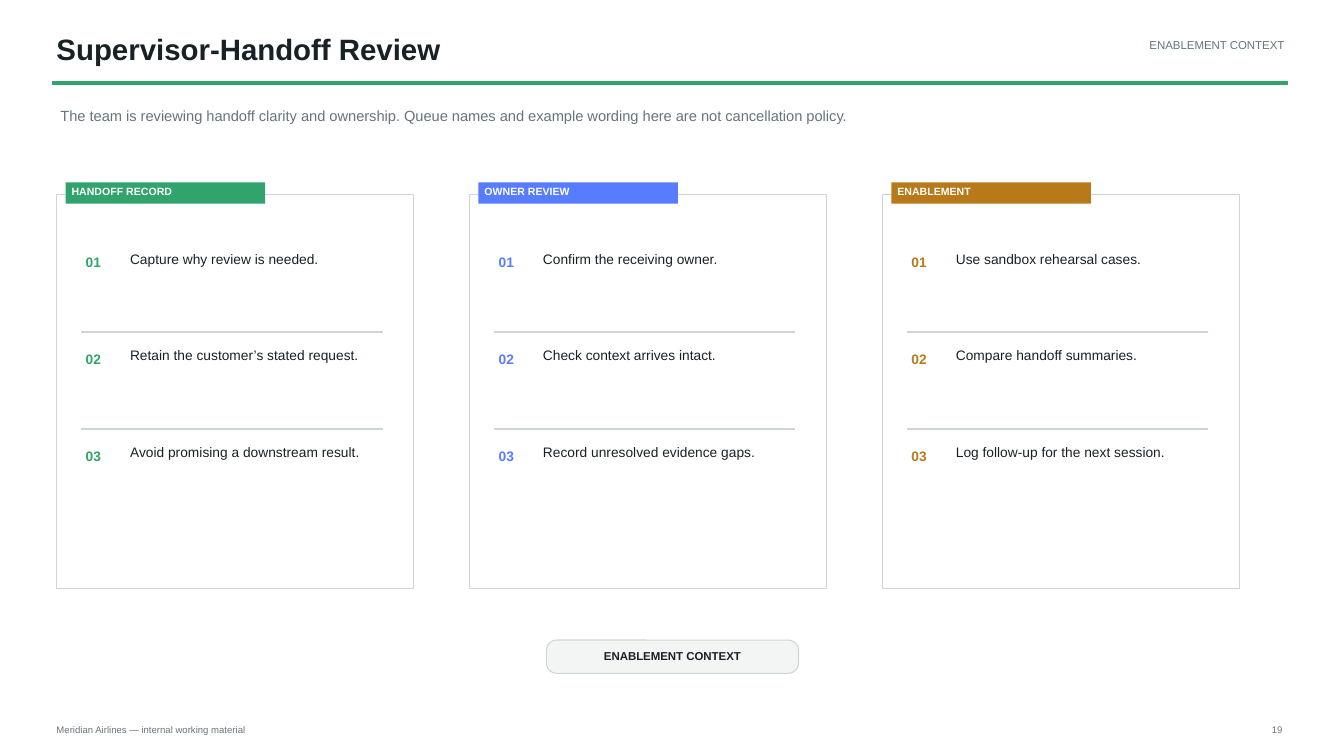
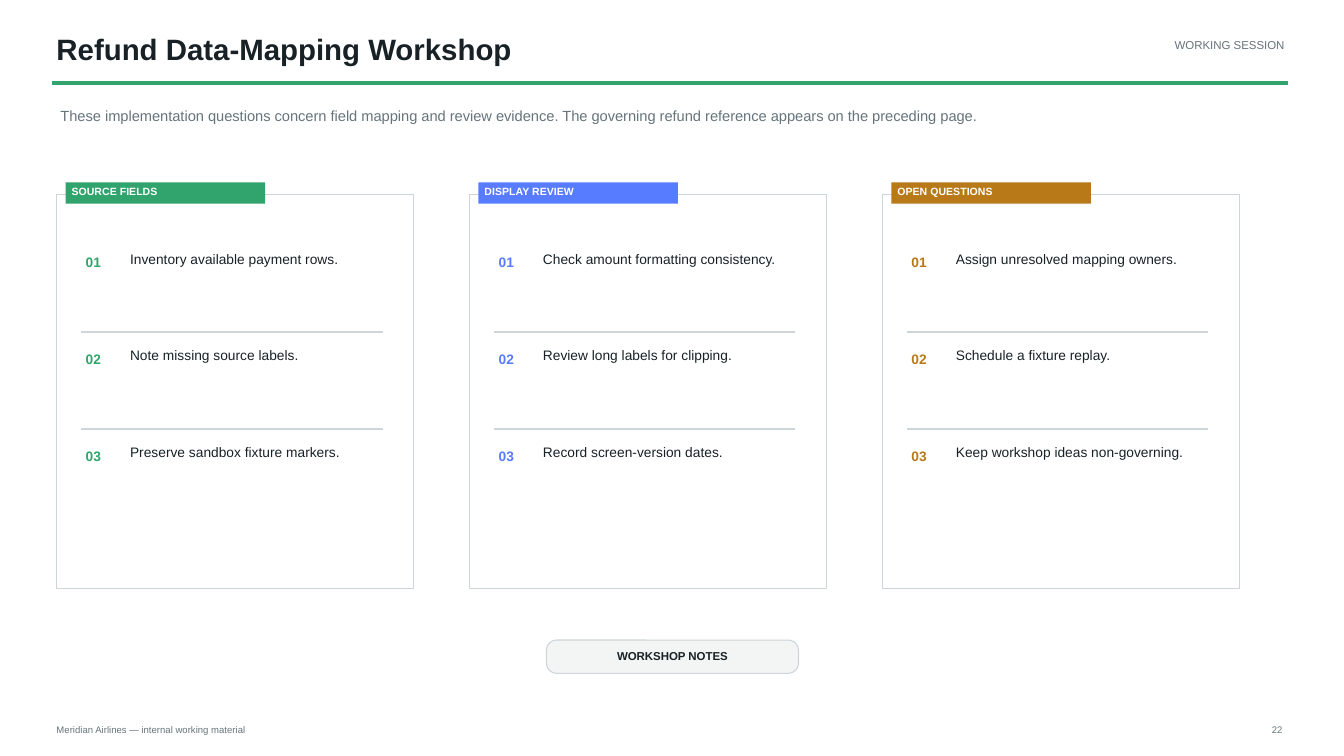
from dataclasses import dataclass
from typing import Optional

from pptx import Presentation
from pptx.dml.color import RGBColor
from pptx.enum.shapes import MSO_SHAPE as Preset
from pptx.enum.text import MSO_ANCHOR as Anchor, PP_ALIGN as Align
from pptx.shapes.autoshape import Shape
from pptx.slide import Slide
from pptx.util import Inches, Pt

WHITE = RGBColor(0xFF, 0xFF, 0xFF)
INK = RGBColor(0x17, 0x21, 0x26)
MUTED = RGBColor(0x66, 0x74, 0x7B)
BORDER = RGBColor(0xCD, 0xD5, 0xD8)
PALE = RGBColor(0xF3, 0xF5, 0xF5)
GREEN = RGBColor(0x31, 0xA3, 0x6C)
BLUE = RGBColor(0x57, 0x7C, 0xFF)
AMBER = RGBColor(0xB8, 0x79, 0x18)
PANEL_COLORS = (GREEN, BLUE, AMBER)

FONT = "Arial"
FOOTER = "Meridian Airlines — internal working material"

PANEL_LEFT = 0.56
PANEL_PITCH = (8.75 - PANEL_LEFT) / 2
PANEL_TOP = 1.93
ITEM_TOP = 2.45
ITEM_PITCH = 0.96


@dataclass(frozen=True)
class Box:
    """Left, top, width and height in inches."""
    left: float
    top: float
    width: float
    height: float

    def lengths(self) -> tuple[int, int, int, int]:
        return (Inches(self.left), Inches(self.top),
                Inches(self.width), Inches(self.height))


@dataclass(frozen=True)
class TextStyle:
    size: float
    color: RGBColor
    bold: bool = False
    align: Align = Align.LEFT
    anchor: Anchor = Anchor.TOP
    line_spacing: Optional[float] = None
    margins: tuple[float, float, float, float] = (0.04, 0.02, 0.04, 0.02)


@dataclass(frozen=True)
class Panel:
    label: str
    items: tuple[str, ...]


@dataclass(frozen=True)
class Page:
    title: str
    section: str
    summary: str
    panels: tuple[Panel, ...]
    badge: str
    number: int


TITLE = TextStyle(21, INK, bold=True)
SECTION = TextStyle(8.2, MUTED, align=Align.RIGHT)
SUMMARY = TextStyle(10.5, MUTED)
TAG = TextStyle(7.5, WHITE, bold=True, margins=(0.06, 0.03, 0.06, 0.02))
ITEM = TextStyle(9.8, INK, line_spacing=1.08)
BADGE = TextStyle(8.2, INK, bold=True, align=Align.CENTER, anchor=Anchor.MIDDLE,
                  line_spacing=0.96, margins=(0.06, 0.03, 0.06, 0.03))
FOOTER_LEFT = TextStyle(6.8, MUTED)
PAGE_NUMBER = TextStyle(6.8, MUTED, align=Align.RIGHT)

PAGES = (
    Page(
        "Supervisor-Handoff Review",
        "ENABLEMENT CONTEXT",
        "The team is reviewing handoff clarity and ownership. "
        "Queue names and example wording here are not cancellation policy.",
        (
            Panel("HANDOFF RECORD", ("Capture why review is needed.",
                                     "Retain the customer’s stated request.",
                                     "Avoid promising a downstream result.")),
            Panel("OWNER REVIEW", ("Confirm the receiving owner.",
                                   "Check context arrives intact.",
                                   "Record unresolved evidence gaps.")),
            Panel("ENABLEMENT", ("Use sandbox rehearsal cases.",
                                 "Compare handoff summaries.",
                                 "Log follow-up for the next session.")),
        ),
        "ENABLEMENT CONTEXT",
        19,
    ),
    Page(
        "Refund Data-Mapping Workshop",
        "WORKING SESSION",
        "These implementation questions concern field mapping and review evidence. "
        "The governing refund reference appears on the preceding page.",
        (
            Panel("SOURCE FIELDS", ("Inventory available payment rows.",
                                    "Note missing source labels.",
                                    "Preserve sandbox fixture markers.")),
            Panel("DISPLAY REVIEW", ("Check amount formatting consistency.",
                                     "Review long labels for clipping.",
                                     "Record screen-version dates.")),
            Panel("OPEN QUESTIONS", ("Assign unresolved mapping owners.",
                                     "Schedule a fixture replay.",
                                     "Keep workshop ideas non-governing.")),
        ),
        "WORKSHOP NOTES",
        22,
    ),
)


def write_text(shape: Shape, text: str, style: TextStyle) -> None:
    frame = shape.text_frame
    frame.word_wrap = True
    frame.vertical_anchor = style.anchor
    (frame.margin_left, frame.margin_top,
     frame.margin_right, frame.margin_bottom) = map(Inches, style.margins)
    frame.text = text
    paragraph = frame.paragraphs[0]
    paragraph.alignment = style.align
    if style.line_spacing:
        paragraph.line_spacing = style.line_spacing
    font = paragraph.runs[0].font
    font.name = FONT
    font.size = Pt(style.size)
    font.bold = style.bold
    font.color.rgb = style.color


def add_text(slide: Slide, box: Box, text: str, style: TextStyle) -> None:
    write_text(slide.shapes.add_textbox(*box.lengths()), text, style)


def add_block(slide: Slide, box: Box, fill: Optional[RGBColor] = None,
              line: Optional[RGBColor] = None, line_width: float = 0.75,
              preset: Preset = Preset.RECTANGLE) -> Shape:
    shape = slide.shapes.add_shape(preset, *box.lengths())
    shape.shadow.inherit = False
    if fill is None:
        shape.fill.background()
    else:
        shape.fill.solid()
        shape.fill.fore_color.rgb = fill
    if line is None:
        shape.line.fill.background()
    else:
        shape.line.color.rgb = line
        shape.line.width = Pt(line_width)
    return shape


def add_rule(slide: Slide, box: Box, color: RGBColor) -> None:
    """Draw a thin bar with a hairline edge of the same colour."""
    add_block(slide, box, fill=color, line=color, line_width=0)


def add_panel(slide: Slide, left: float, panel: Panel, color: RGBColor) -> None:
    add_block(slide, Box(left, PANEL_TOP, 3.54, 3.91), line=BORDER)
    tag = add_block(slide, Box(left + 0.09, PANEL_TOP - 0.12, 1.98, 0.21), fill=color)
    write_text(tag, panel.label, TAG)
    number_style = TextStyle(9.8, color, bold=True)
    for index, item in enumerate(panel.items):
        top = ITEM_TOP + index * ITEM_PITCH
        if index:
            add_rule(slide, Box(left + 0.25, top - 0.12, 2.98, 0.01), BORDER)
        add_text(slide, Box(left + 0.25, top + 0.05, 0.35, 0.29),
                 f"{index + 1:02}", number_style)
        add_text(slide, Box(left + 0.69, top, 2.55, 0.69), item, ITEM)


def add_frame(slide: Slide, page: Page) -> None:
    """Draw the header and footer that every page shares."""
    add_text(slide, Box(0.52, 0.29, 8.85, 0.44), page.title, TITLE)
    add_text(slide, Box(9.4, 0.36, 3.38, 0.31), page.section, SECTION)
    add_rule(slide, Box(0.52, 0.81, 12.25, 0.03), GREEN)
    add_text(slide, Box(0.52, 7.16, 3.12, 0.19), FOOTER, FOOTER_LEFT)
    add_text(slide, Box(12.24, 7.16, 0.52, 0.19), str(page.number), PAGE_NUMBER)


def add_page(presentation: Presentation, page: Page) -> None:
    slide = presentation.slides.add_slide(presentation.slide_layouts[6])
    add_frame(slide, page)
    add_text(slide, Box(0.56, 1.04, 11.67, 0.44), page.summary, SUMMARY)
    for index, (panel, color) in enumerate(zip(page.panels, PANEL_COLORS)):
        add_panel(slide, PANEL_LEFT + index * PANEL_PITCH, panel, color)
    badge = add_block(slide, Box(5.42, 6.35, 2.5, 0.33), fill=PALE, line=BORDER,
                      preset=Preset.ROUNDED_RECTANGLE)
    badge.adjustments[0] = 0.31
    write_text(badge, page.badge, BADGE)


def main() -> None:
    presentation = Presentation()
    presentation.slide_width = Inches(13.33)
    presentation.slide_height = Inches(7.5)
    for page in PAGES:
        add_page(presentation, page)
    presentation.save("out.pptx")


if __name__ == "__main__":
    main()
